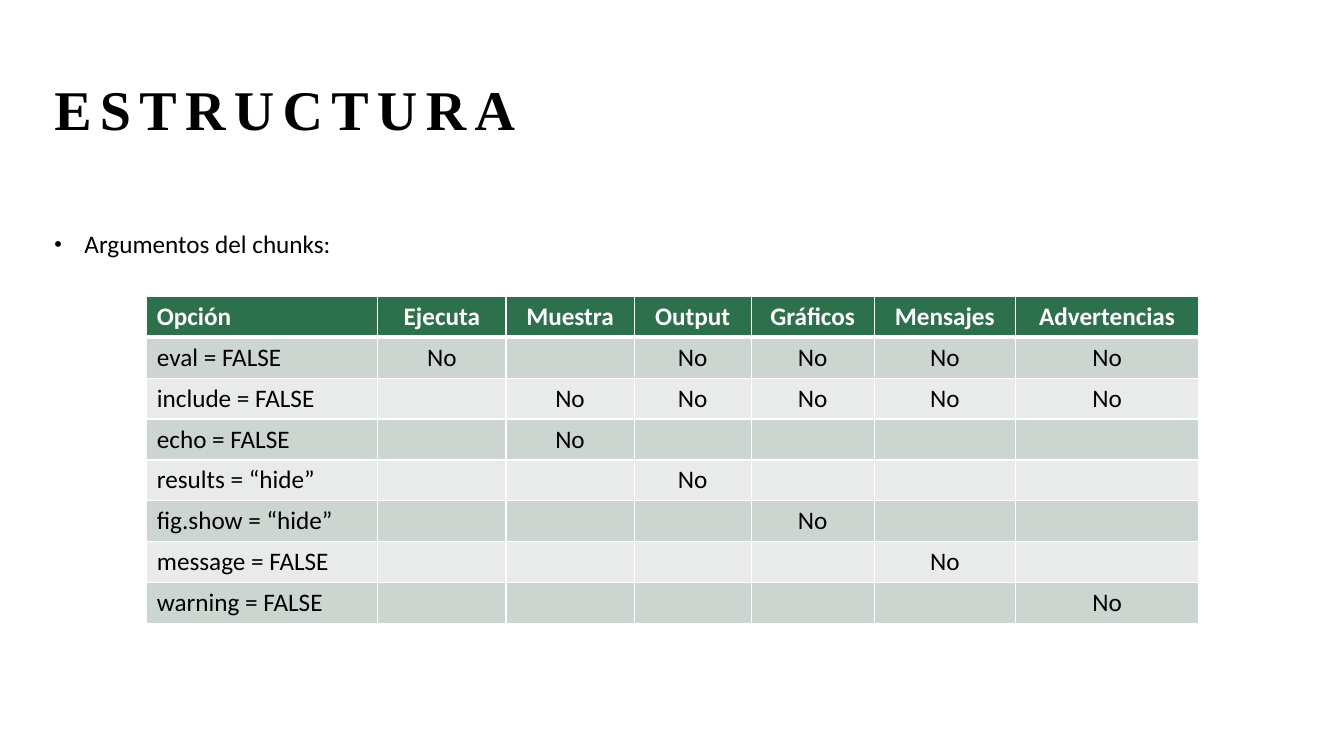
from lxml import etree
from pptx import Presentation
from pptx import util as u
from pptx.dml.color import RGBColor
from pptx.enum import text
from pptx.oxml import ns

BLACK = RGBColor(0, 0, 0)
WHITE = RGBColor(255, 255, 255)
GREEN = RGBColor(0x2D, 0x71, 0x4C)
SAGE = RGBColor(0xCD, 0xD5, 0xD0)
MIST = RGBColor(0xE8, 0xEB, 0xE9)

HEADS = ["Opción", "Ejecuta", "Muestra", "Output", "Gráficos", "Mensajes", "Advertencias"]
RULES = [
    ("eval = FALSE", {1, 3, 4, 5, 6}),
    ("include = FALSE", {2, 3, 4, 5, 6}),
    ("echo = FALSE", {2}),
    ("results = “hide”", {3}),
    ("fig.show = “hide”", {4}),
    ("message = FALSE", {5}),
    ("warning = FALSE", {6}),
]
WIDTHS = [5.82, 3.23, 3.23, 2.95, 3.1, 3.56, 4.62]
HEIGHT = 1.03


class Deck:
    serif = "Times New Roman"
    sans = "Calibri"

    def __init__(self):
        self.prs = Presentation()
        self.prs.slide_width = u.Cm(33.87)
        self.prs.slide_height = u.Cm(19.05)
        self.slide = self.prs.slides.add_slide(self.prs.slide_layouts[6])

    def box(self, x, y, w, h, space, anchor=text.MSO_ANCHOR.TOP):
        frame = self.slide.shapes.add_textbox(u.Cm(x), u.Cm(y), u.Cm(w), u.Cm(h)).text_frame
        frame.word_wrap = True
        frame.vertical_anchor = anchor
        par = frame.paragraphs[0]
        par.line_spacing = space
        return par

    def run(self, par, words, size=18, color=BLACK, bold=False, face=sans):
        run = par.add_run()
        run.text = words
        font = run.font
        font.name, font.size, font.bold = face, u.Pt(size), bold
        font.color.rgb = color
        return run

    def title(self, words):
        par = self.box(1.12, 1.3, 31.62, 2.39, 1.2, text.MSO_ANCHOR.BOTTOM)
        run = self.run(par, words, 40, bold=True, face=self.serif)
        run.font._element.set("spc", "600")

    def bullet(self, words):
        par = self.box(1.12, 5.41, 31.62, 12.34, 1.3)
        props = par._p.get_or_add_pPr()
        props.set("marL", str(u.Cm(0.76)))
        props.set("indent", str(u.Cm(-0.76)))
        etree.SubElement(props, ns.qn("a:buSzPct"), val="85000")
        etree.SubElement(props, ns.qn("a:buFont"), typeface="Arial")
        etree.SubElement(props, ns.qn("a:buChar"), char="•")
        self.run(par, words)

    def edge(self, cell, side, width):
        props = cell._tc.get_or_add_tcPr()
        line = etree.SubElement(props, ns.qn("a:ln" + side), w=str(u.Pt(width)))
        fill = etree.SubElement(line, ns.qn("a:solidFill"))
        etree.SubElement(fill, ns.qn("a:srgbClr"), val=str(WHITE))

    def cell(self, cell, row, col, words):
        head = row == 0
        for side in "LRTB":
            thick = (row, side) in ((0, "B"), (1, "T"))
            self.edge(cell, side, 3 if thick else 1)
        cell.fill.solid()
        cell.fill.fore_color.rgb = GREEN if head else SAGE if row % 2 else MIST
        par = cell.text_frame.paragraphs[0]
        if col:
            par.alignment = text.PP_ALIGN.CENTER
        if words:
            self.run(par, words, color=WHITE if head else BLACK, bold=head)

    def table(self, x, y, rows):
        size = u.Cm(sum(WIDTHS)), u.Cm(HEIGHT * len(rows))
        grid = self.slide.shapes.add_table(len(rows), len(WIDTHS), u.Cm(x), u.Cm(y), *size).table
        grid.horz_banding = False
        for col, width in zip(grid.columns, WIDTHS):
            col.width = u.Cm(width)
        for r, row in enumerate(rows):
            grid.rows[r].height = u.Cm(HEIGHT)
            for c, words in enumerate(row):
                self.cell(grid.cell(r, c), r, c, words)


def main():
    deck = Deck()
    deck.title("ESTRUCTURA")
    deck.bullet("Argumentos del chunks:")
    rows = [[name] + ["No" if c in off else "" for c in range(1, len(HEADS))]
            for name, off in RULES]
    deck.table(3.7, 7.47, [HEADS] + rows)
    deck.prs.save("out.pptx")


if __name__ == "__main__":
    main()
